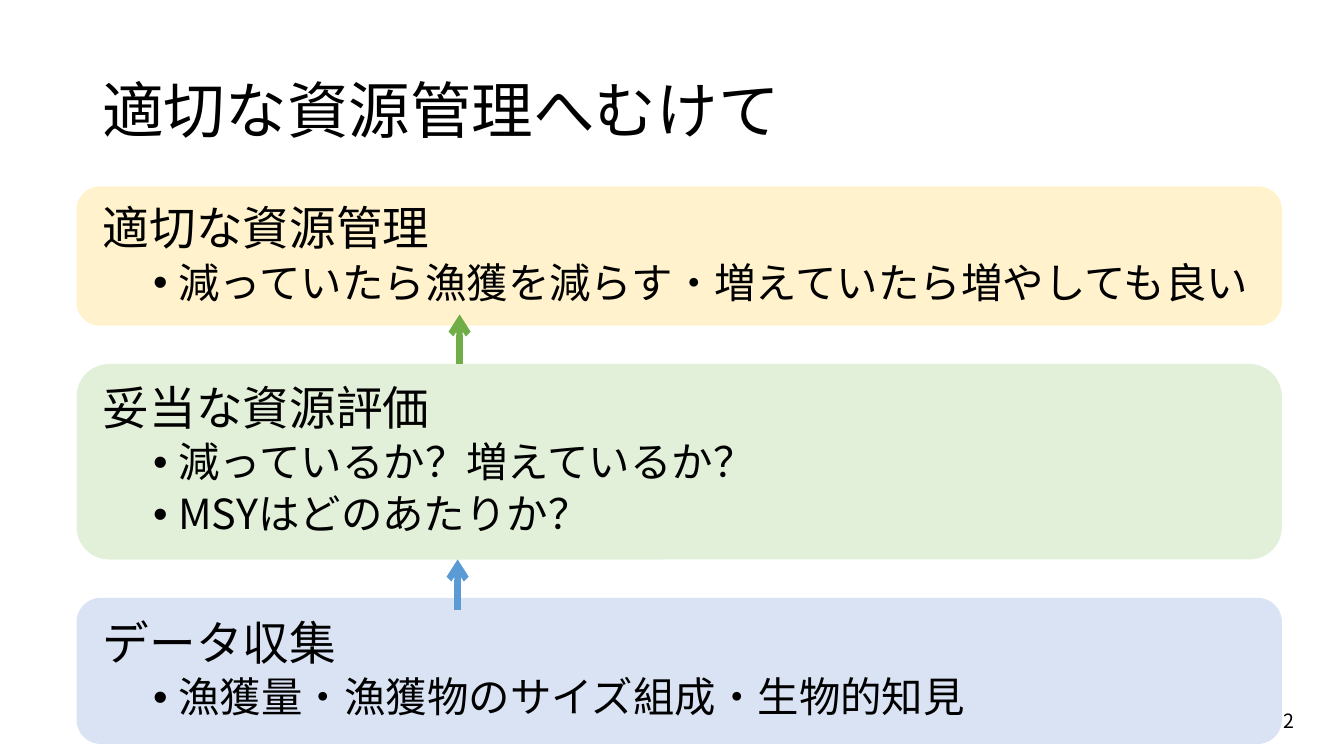
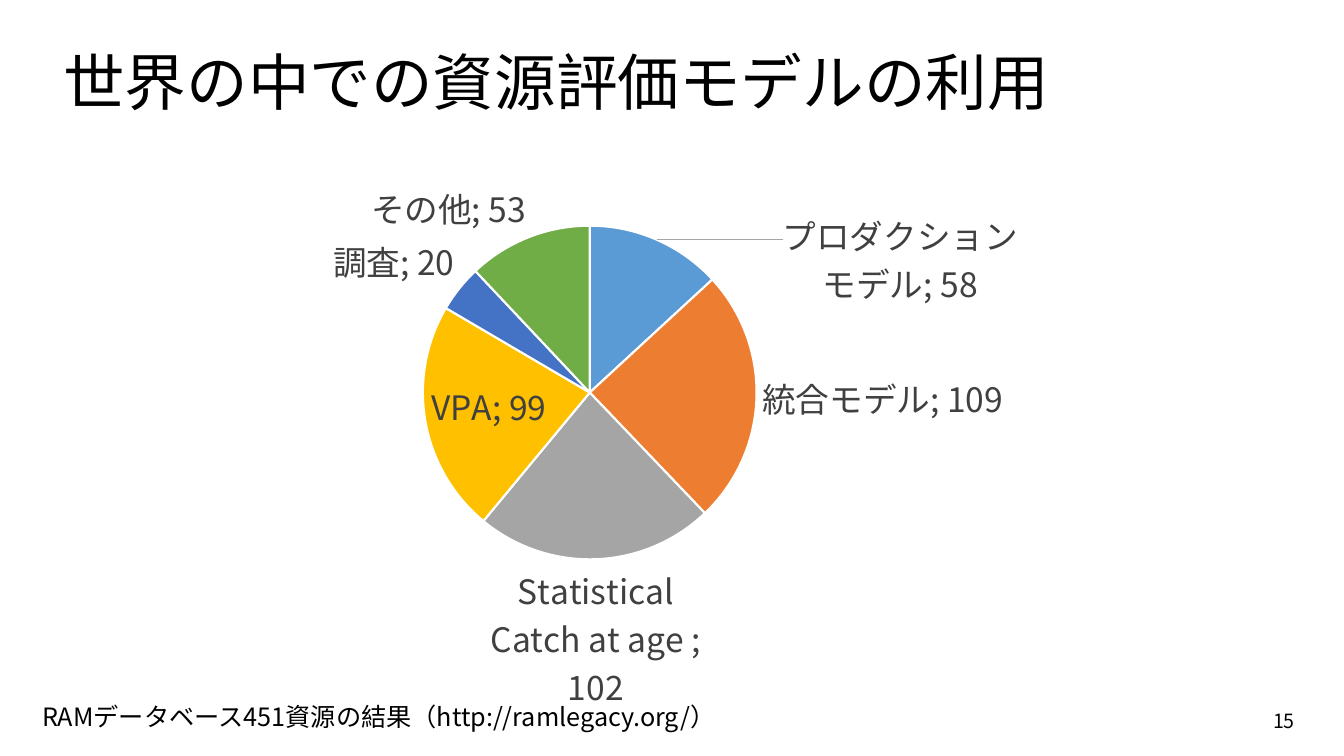
from dataclasses import dataclass

from lxml.etree import SubElement
from pptx import Presentation
from pptx.chart.data import CategoryChartData
from pptx.dml.color import RGBColor
from pptx.enum.chart import XL_CHART_TYPE as ChartType, XL_LABEL_POSITION as LabelPosition
from pptx.enum.shapes import MSO_CONNECTOR as Connector, MSO_SHAPE as Shape
from pptx.enum.text import MSO_ANCHOR as Anchor, PP_ALIGN as Align
from pptx.oxml import parse_xml
from pptx.oxml.ns import nsdecls, qn
from pptx.util import Pt

FONT = "Noto Sans CJK JP"
BLACK, WHITE, GRAY = "000000", "FFFFFF", "404040"
GREEN, BLUE = "70AD47", "5B9BD5"
BAND_LEFT, BAND_WIDTH, BAND_TEXT_INSET = 54.7, 861, 18.9
CORNER_INSET = 0.05


@dataclass(frozen=True)
class Band:
    top: float
    height: float
    fill: str
    heading: str
    points: tuple[str, ...]


@dataclass(frozen=True)
class Arrow:
    x: float
    start: float
    end: float
    color: str


@dataclass(frozen=True)
class Slice:
    name: str
    value: int
    color: str


BANDS = (
    Band(427, 104.4, "DAE3F3", "データ収集", ("漁獲量・漁獲物のサイズ組成・生物的知見",)),
    Band(260, 139.7, "E2F0D9", "妥当な資源評価",
         ("減っているか？増えているか？", "MSYはどのあたりか？")),
    Band(133.2, 99.4, "FFF2CC", "適切な資源管理",
         ("減っていたら漁獲を減らす・増えていたら増やしても良い",)),
)
ARROWS = (Arrow(328.3, 260, 224.6, GREEN), Arrow(326.9, 435.6, 399.6, BLUE))
SLICES = (
    Slice("プロダクションモデル", 58, BLUE),
    Slice("統合モデル", 109, "ED7D31"),
    Slice("Statistical Catch at age ", 102, "A5A5A5"),
    Slice("VPA", 99, "FFC000"),
    Slice("調査", 20, "4472C4"),
    Slice("その他", 53, GREEN),
)


def rgb(color: str) -> RGBColor:
    return RGBColor.from_string(color)


def style_font(font, size: float, color: str) -> None:
    font.size = Pt(size)
    font.name = FONT
    font.color.rgb = rgb(color)


def add_east_asian_font(properties) -> None:
    properties.find(qn("a:latin")).addnext(
        parse_xml(f'<a:ea {nsdecls("a")} typeface="{FONT}"/>'))


def write(paragraph, text: str, *, size: float, color: str = BLACK, align=Align.LEFT,
          spacing: float = 1.0, before: float = 0, bullet: bool = False) -> None:
    paragraph.alignment = align
    paragraph.line_spacing = spacing
    paragraph.space_before = Pt(before)
    if bullet:
        properties = paragraph._p.get_or_add_pPr()
        properties.set("marL", str(Pt(54)))
        properties.set("indent", str(Pt(-18)))
        SubElement(properties, qn("a:buFont"), typeface="Arial")
        SubElement(properties, qn("a:buChar"), char="•")
    run = paragraph.add_run()
    run.text = text
    style_font(run.font, size, color)
    add_east_asian_font(run._r.get_or_add_rPr())


def add_text(slide, text: str, left: float, top: float, width: float, height: float,
             anchor=Anchor.MIDDLE, **text_format) -> None:
    frame = slide.shapes.add_textbox(Pt(left), Pt(top), Pt(width), Pt(height)).text_frame
    frame.word_wrap = True
    frame.vertical_anchor = anchor
    write(frame.paragraphs[0], text, **text_format)


def add_page(presentation, title: str, number: int, left: float, top: float, height: float):
    slide = presentation.slides.add_slide(presentation.slide_layouts[6])
    add_text(slide, title, left, top, 828, height, size=44, spacing=0.9)
    add_text(slide, str(number), 678, 500.5, 254, 28.8, size=14, align=Align.RIGHT)
    return slide


def add_band(slide, band: Band) -> None:
    shape = slide.shapes.add_shape(Shape.ROUNDED_RECTANGLE, Pt(BAND_LEFT), Pt(band.top),
                                   Pt(BAND_WIDTH), Pt(band.height))
    shape.shadow.inherit = False
    shape.fill.solid()
    shape.fill.fore_color.rgb = rgb(band.fill)
    shape.line.fill.background()
    frame = shape.text_frame
    frame.word_wrap = True
    frame.vertical_anchor = Anchor.MIDDLE
    frame.margin_left = Pt(BAND_TEXT_INSET - CORNER_INSET * band.height)
    frame.margin_right = frame.margin_top = frame.margin_bottom = 0
    write(frame.paragraphs[0], band.heading, size=33.3, spacing=0.9)
    for point in band.points:
        write(frame.add_paragraph(), point, size=29.6, spacing=0.9, before=5, bullet=True)


def add_arrow(slide, arrow: Arrow) -> None:
    connector = slide.shapes.add_connector(Connector.STRAIGHT, Pt(arrow.x), Pt(arrow.start),
                                           Pt(arrow.x), Pt(arrow.end))
    connector.line.color.rgb = rgb(arrow.color)
    connector.line.width = Pt(4.5)
    SubElement(connector.line._get_or_add_ln(), qn("a:tailEnd"), type="arrow")
    SubElement(connector._element.spPr, qn("a:effectLst"))


def manual_layout(**values):
    settings = "".join(f'<c:{key} val="{value}"/>' for key, value in values.items())
    return parse_xml(f'<c:layout {nsdecls("c")}><c:manualLayout>{settings}'
                     '</c:manualLayout></c:layout>')


def set_plot_layout(chart) -> None:
    plot_area = chart._chartSpace.chart.plotArea
    for layout in plot_area.findall(qn("c:layout")):
        plot_area.remove(layout)
    plot_area.insert(0, manual_layout(layoutTarget="inner", xMode="edge", yMode="edge",
                                      x=0.33, y=0.17, w=0.27, h=0.56))


def move_first_label(series) -> None:
    label = series.points[0].data_label
    style_font(label.font, 24, GRAY)
    label.position = LabelPosition.BEST_FIT
    element = series.data_labels._element.find(qn("c:dLbl"))
    element.find(qn("c:idx")).addnext(manual_layout(x=0.1, y=0.12))
    element.find(qn("c:showCatName")).set("val", "1")


def add_model_chart(slide) -> None:
    data = CategoryChartData()
    data.categories = [item.name for item in SLICES]
    data.add_series("Series 1", [item.value for item in SLICES])
    chart = slide.shapes.add_chart(ChartType.PIE, Pt(10.8), Pt(85), Pt(882.7), Pt(434.2),
                                   data).chart
    chart.has_title = False
    chart.has_legend = False
    style_font(chart.font, 24, BLACK)
    set_plot_layout(chart)
    plot = chart.plots[0]
    plot.vary_by_categories = True
    series = plot.series[0]
    for index, item in enumerate(SLICES):
        point_format = series.points[index].format
        point_format.fill.solid()
        point_format.fill.fore_color.rgb = rgb(item.color)
        point_format.line.color.rgb = rgb(WHITE)
        point_format.line.width = Pt(1.5)
    labels = series.data_labels
    labels.show_category_name = True
    labels.show_value = True
    labels.position = LabelPosition.BEST_FIT
    style_font(labels.font, 24, GRAY)
    move_first_label(series)
    for properties in chart._chartSpace.iter(qn("a:defRPr")):
        if properties.find(qn("a:latin")) is not None:
            add_east_asian_font(properties)
    leader_lines = parse_xml(
        f'<c:leaderLines {nsdecls("c", "a")}><c:spPr><a:ln w="{Pt(0.75)}"><a:solidFill>'
        '<a:srgbClr val="A6A6A6"/></a:solidFill></a:ln></c:spPr></c:leaderLines>')
    labels._element.find(qn("c:showLeaderLines")).addnext(leader_lines)


def main() -> None:
    presentation = Presentation()
    presentation.slide_width, presentation.slide_height = Pt(960), Pt(540)

    slide = add_page(presentation, "適切な資源管理へむけて", 2, 66, 28.8, 104.4)
    for band in BANDS:
        add_band(slide, band)
    for arrow in ARROWS:
        add_arrow(slide, arrow)

    slide = add_page(presentation, "世界の中での資源評価モデルの利用", 15, 38.2, 25.9, 69.8)
    add_model_chart(slide)
    add_text(slide, "RAMデータベース451資源の結果（http://ramlegacy.org/）",
             23, 497.5, 657.4, 28.8, anchor=Anchor.TOP, size=18)

    presentation.save("out.pptx")


if __name__ == "__main__":
    main()
